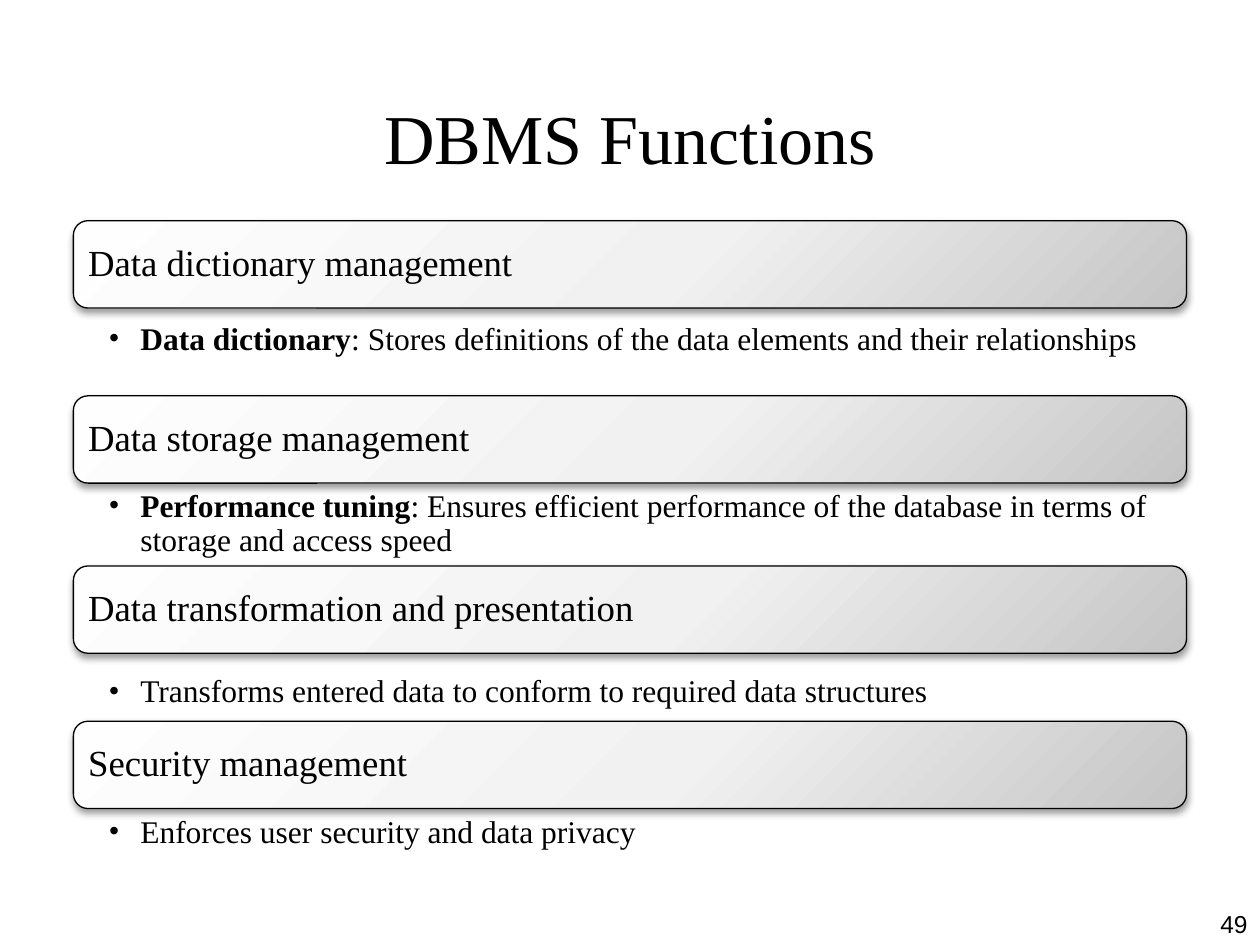
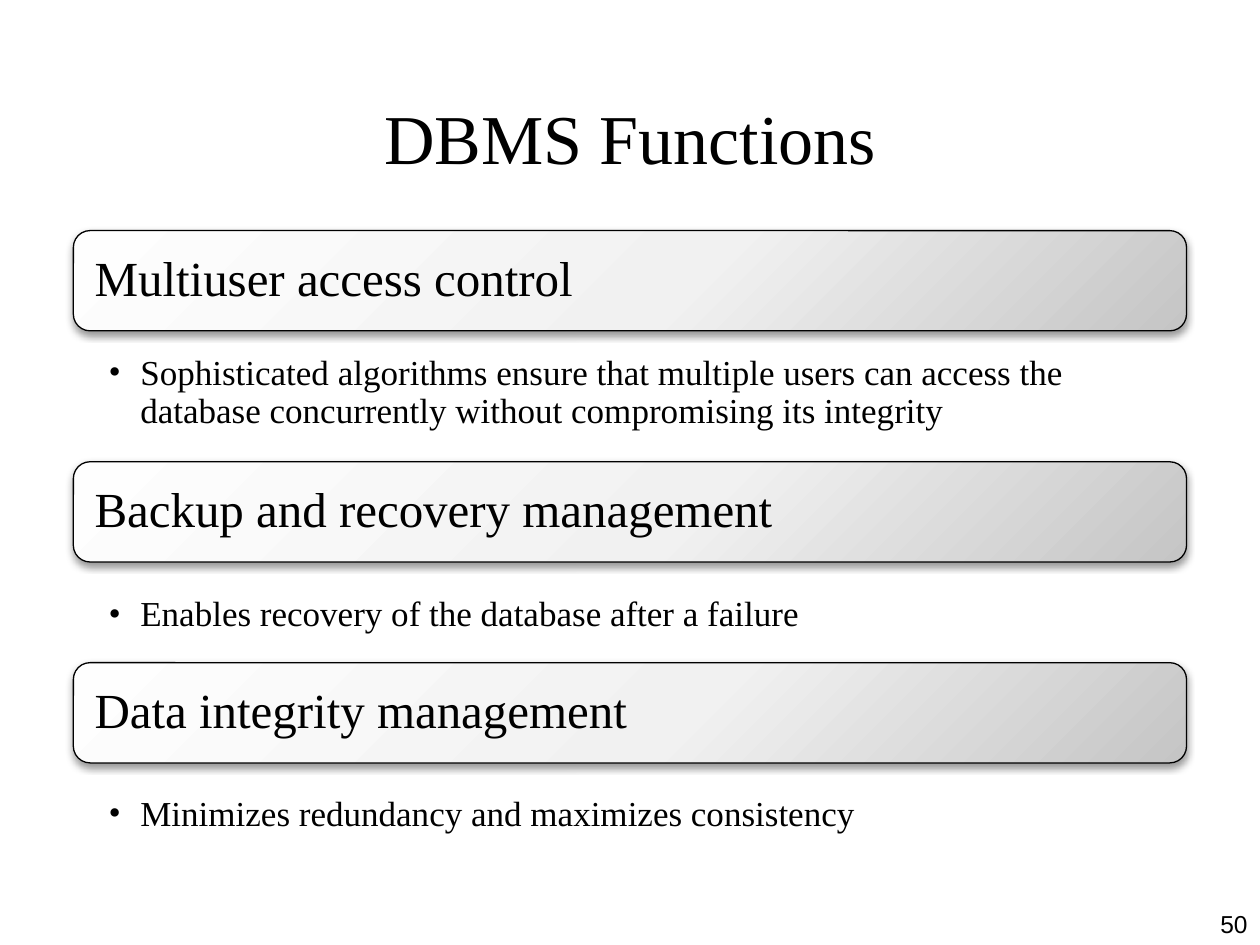
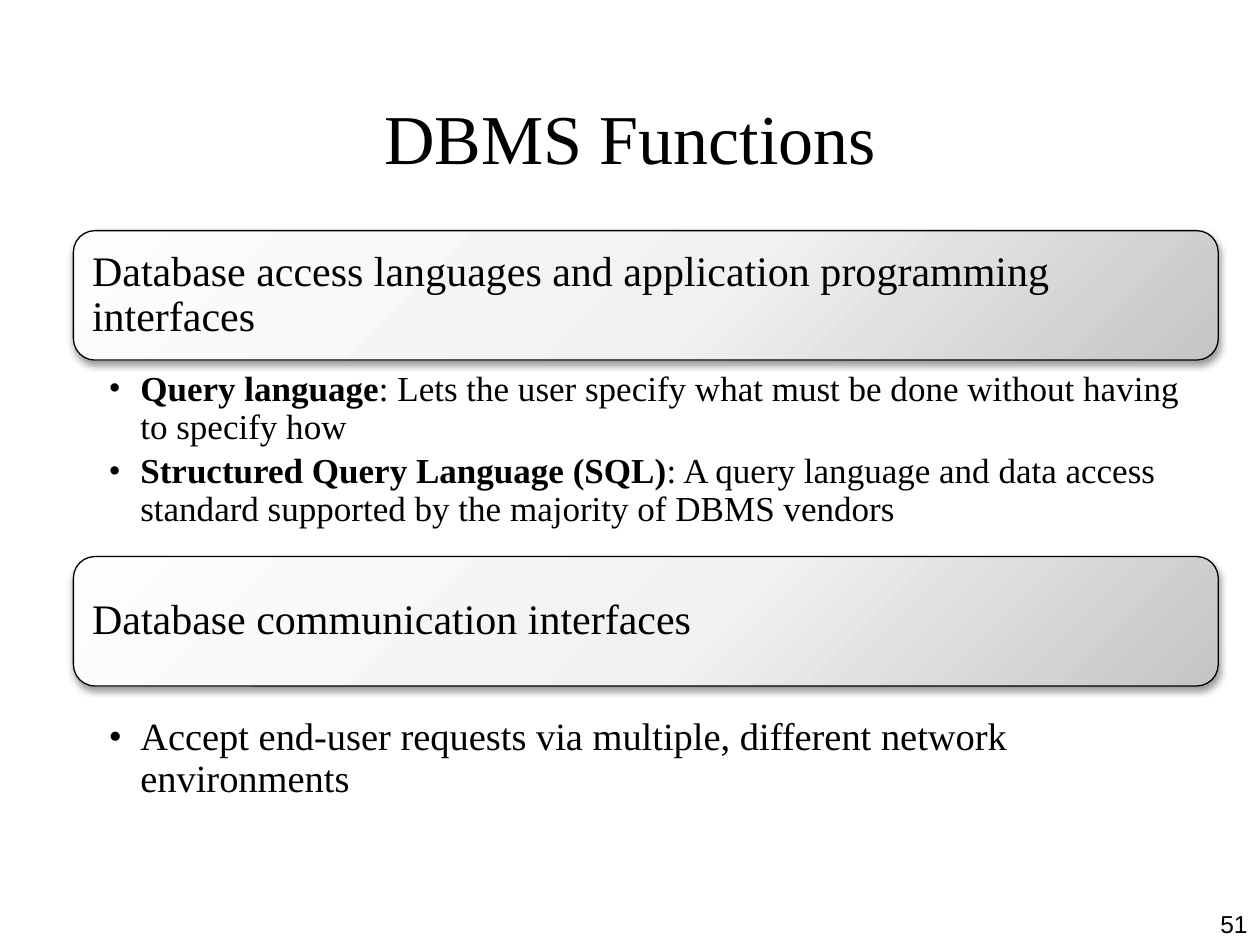
from pptx import Presentation
from pptx.dml.color import RGBColor
from pptx.enum.shapes import MSO_SHAPE
from pptx.enum.text import MSO_ANCHOR, PP_ALIGN
from pptx.oxml import parse_xml
from pptx.oxml.ns import nsdecls, qn
from pptx.util import Cm, Pt
from lxml import etree

TITLE = "DBMS Functions"
FIRST_NUMBER = 49
SERIF, SANS = "Times New Roman", "Arial"
BLACK = RGBColor(0x00, 0x00, 0x00)
BANNER_STOPS = [
    (0, RGBColor(0xFE, 0xFE, 0xFE)),
    (55, RGBColor(0xF1, 0xF1, 0xF1)),
    (100, RGBColor(0xC5, 0xC5, 0xC5)),
]

# Lengths in cm, text sizes in points.
# section: heading, banner top, bullets top, bullets height, bullet size,
#          bullets as (bold term, rest)
SLIDES = [
    {
        "banner": {"width": 22.44, "height": 1.76, "inset": 0.3, "size": 21},
        "bullets": {"width": 22.44, "inset": 0.08, "right": 0.41},
        "sections": [
            ("Data dictionary management", 4.45, 6.43, 1.6, 18,
             [("Data dictionary", ": Stores definitions of the data elements and their relationships")]),
            ("Data storage management", 7.98, 9.8, 1.6, 18,
             [("Performance tuning", ": Ensures efficient performance of the database in terms of "
               "storage and access speed")]),
            ("Data transformation and presentation", 11.41, 13.54, 1.2, 18,
             [("", "Transforms entered data to conform to required data structures")]),
            ("Security management", 14.54, 16.37, 1.2, 18,
             [("", "Enforces user security and data privacy")]),
        ],
    },
    {
        "banner": {"width": 22.44, "height": 2.02, "inset": 0.43, "size": 28},
        "bullets": {"width": 22.02, "inset": 0.1, "right": 0.61},
        "sections": [
            ("Multiuser access control", 4.65, 7.06, 2.03, 20,
             [("", "Sophisticated algorithms ensure that multiple users can access the "
               "database concurrently without compromising its integrity")]),
            ("Backup and recovery management", 9.31, 11.93, 1.42, 20,
             [("", "Enables recovery of the database after a failure")]),
            ("Data integrity management", 13.36, 15.95, 1.02, 20,
             [("", "Minimizes redundancy and maximizes consistency")]),
        ],
    },
    {
        "banner": {"width": 23.08, "height": 2.61, "inset": 0.38, "size": 24},
        "bullets": {"width": 23.08, "inset": 0.08, "right": 0.43},
        "sections": [
            ("Database access languages and application programming interfaces", 4.65, 7.4, 4.01, 20,
             [("Query language", ": Lets the user specify what must be done without having "
               "to specify how"),
              ("Structured Query Language (SQL)", ": A query language and data access "
               "standard supported by the majority of DBMS vendors")]),
            ("Database communication interfaces", 11.22, 14.39, 2.31, 22,
             [("", "Accept end-user requests via multiple, different network environments")]),
        ],
    },
]

LEFT = 1.48
CORNER_INSET = 0.05  # share of a banner's height that its round corners add to the insets
BULLET_LEFT_INSET = 0.71
BULLET_INDENT = Cm(0.64)
LINE_SPACING = 0.9


def style(paragraph, size, name=SERIF, align=PP_ALIGN.LEFT):
    paragraph.alignment = align
    paragraph.font.size = Pt(size)
    paragraph.font.name = name
    paragraph.font.color.rgb = BLACK


def set_frame(frame, anchor, left, top, right, bottom):
    frame.word_wrap = True
    frame.vertical_anchor = anchor
    frame.margin_left, frame.margin_top = Cm(left), Cm(top)
    frame.margin_right, frame.margin_bottom = Cm(right), Cm(bottom)


def add_label(slide, text, box, anchor, size, name, align):
    frame = slide.shapes.add_textbox(*map(Cm, box)).text_frame
    set_frame(frame, anchor, 0.25, 0.13, 0.25, 0.13)
    frame.text = text
    style(frame.paragraphs[0], size, name, align)


def add_banner(slide, heading, top, look):
    banner = slide.shapes.add_shape(
        MSO_SHAPE.ROUNDED_RECTANGLE, Cm(LEFT), Cm(top), Cm(look["width"]), Cm(look["height"]))
    banner.line.color.rgb = BLACK
    banner.line.width = Pt(0.75)

    # Radial gradient and soft shadow
    stops = "".join(
        f'<a:gs pos="{place * 1000}"><a:srgbClr val="{colour}"/></a:gs>'
        for place, colour in BANNER_STOPS)
    outline = banner._element.spPr.find(qn("a:ln"))
    outline.addprevious(parse_xml(
        f'<a:gradFill {nsdecls("a")} rotWithShape="1"><a:gsLst>{stops}</a:gsLst>'
        '<a:path path="circle"><a:fillToRect l="-40000" t="-90000" r="140000" b="190000"/>'
        '</a:path></a:gradFill>'))
    outline.addnext(parse_xml(
        f'<a:effectLst {nsdecls("a")}><a:outerShdw blurRad="{Pt(4.1)}" dist="{Pt(2)}" '
        f'dir="5400000" rotWithShape="0"><a:srgbClr val="{BLACK}"><a:alpha val="40000"/>'
        '</a:srgbClr></a:outerShdw></a:effectLst>'))

    frame = banner.text_frame
    inset = look["inset"] - CORNER_INSET * look["height"]
    set_frame(frame, MSO_ANCHOR.MIDDLE, *[inset] * 4)
    frame.text = heading
    frame.paragraphs[0].line_spacing = LINE_SPACING
    style(frame.paragraphs[0], look["size"])


def add_bullets(slide, bullets, top, height, size, look):
    # Unfilled rectangular outline that holds the list
    right, bottom = Cm(LEFT + look["width"]), Cm(top + height)
    outline = slide.shapes.build_freeform(Cm(LEFT), Cm(top))
    outline.add_line_segments([(right, Cm(top)), (right, bottom), (Cm(LEFT), bottom)])
    panel = outline.convert_to_shape()
    panel.fill.background()
    panel.line.fill.background()
    panel.shadow.inherit = False

    frame = panel.text_frame
    set_frame(frame, MSO_ANCHOR.TOP, BULLET_LEFT_INSET, look["inset"], look["right"], look["inset"])
    for index, (term, rest) in enumerate(bullets):
        paragraph = frame.add_paragraph() if index else frame.paragraphs[0]
        paragraph.level = 1
        properties = paragraph._p.get_or_add_pPr()
        properties.set("marL", str(BULLET_INDENT))
        properties.set("indent", str(-BULLET_INDENT))
        etree.SubElement(properties, qn("a:buFont"), typeface=SERIF)
        etree.SubElement(properties, qn("a:buChar"), char="•")
        paragraph.line_spacing = LINE_SPACING
        paragraph.space_after = Pt(size * 0.2)
        style(paragraph, size)
        if term:
            term_run = paragraph.add_run()
            term_run.text = term
            term_run.font.bold = True
        paragraph.add_run().text = rest


def main():
    deck = Presentation()
    deck.slide_width, deck.slide_height = Cm(25.4), Cm(19.05)
    for number, content in enumerate(SLIDES, FIRST_NUMBER):
        slide = deck.slides.add_slide(deck.slide_layouts[6])
        # Title and slide number
        add_label(slide, TITLE, (1.27, 1.27, 22.86, 2.97),
                  MSO_ANCHOR.MIDDLE, 40, SERIF, PP_ALIGN.CENTER)
        add_label(slide, str(number), (24.13, 18.2, 1.27, 0.85),
                  MSO_ANCHOR.BOTTOM, 14, SANS, PP_ALIGN.RIGHT)
        # Headed sections
        for heading, banner_top, bullets_top, height, size, bullets in content["sections"]:
            add_banner(slide, heading, banner_top, content["banner"])
            add_bullets(slide, bullets, bullets_top, height, size, content["bullets"])
    deck.save("out.pptx")


if __name__ == "__main__":
    main()
